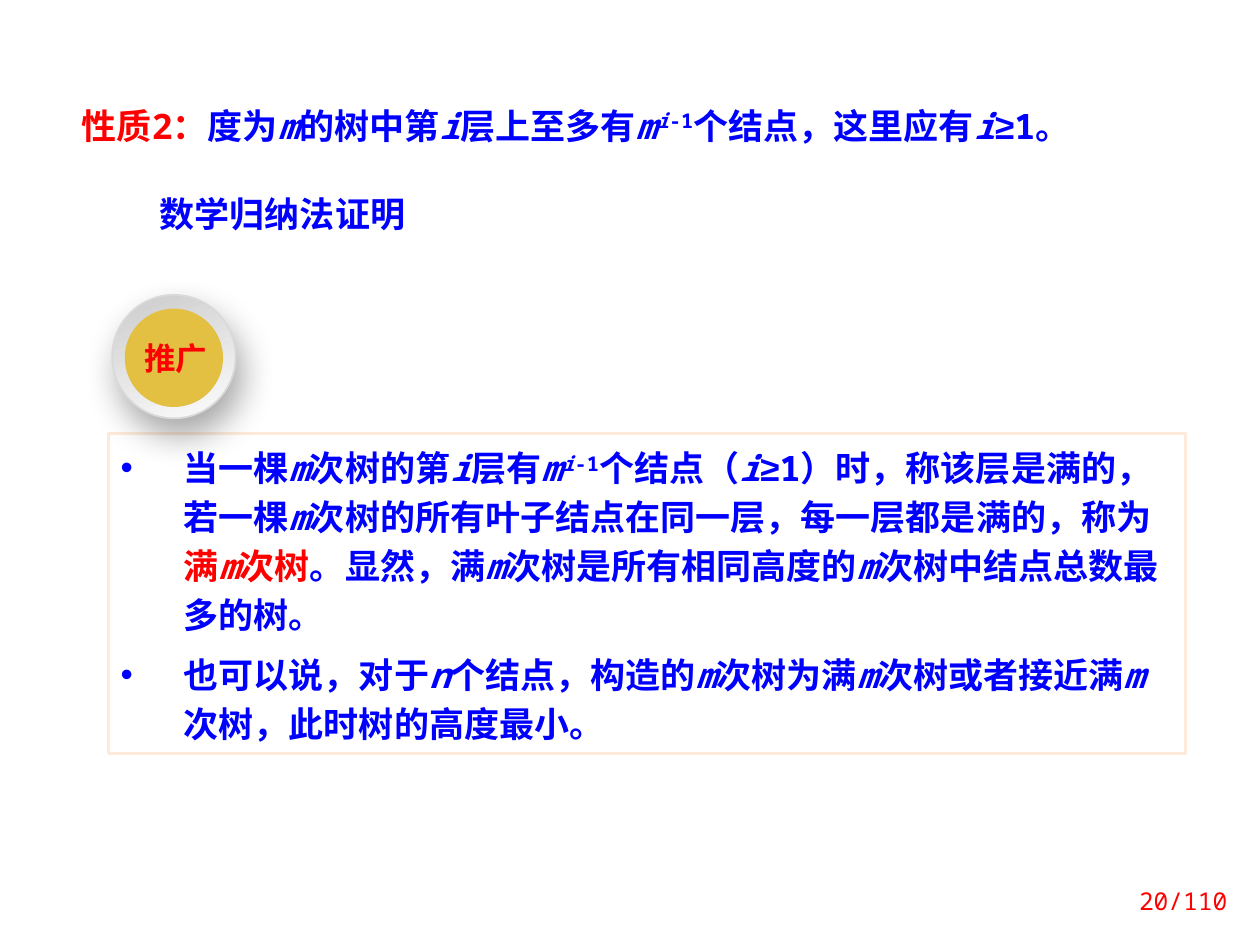
from lxml.etree import SubElement
from pptx import Presentation
from pptx.dml.color import RGBColor
from pptx.enum.shapes import MSO_SHAPE
from pptx.enum.text import MSO_ANCHOR, PP_ALIGN
from pptx.oxml import parse_xml
from pptx.oxml.ns import nsdecls, qn
from pptx.util import Inches, Pt

COLORS = {
    "text": "0000FF", "accent": "FF0000", "white": "FFFFFF",
    "frame": "FDEADA", "ring": "D9D9D9", "ring_dark": "CCCCCC",
    "ring_light": "FCFCFC", "disc": "E3BF42",
}
MONO, CJK, SYMBOL = "Noto Sans Mono", "Noto Sans CJK SC", "Arial"
TOGGLES = {"*": "italic", "^": "super", "#": "accent"}

PROPERTY = "#性质2：#度为*m*的树中第*i*层上至多有*m^i*-1^个结点，这里应有*i*≥1。"
EXTENSIONS = [
    "当一棵*m*次树的第*i*层有*m^i*-1^个结点（*i*≥1）时，称该层是满的，"
    "若一棵*m*次树的所有叶子结点在同一层，每一层都是满的，称为#满*m*次树#。"
    "显然，满*m*次树是所有相同高度的*m*次树中结点总数最多的树。",
    "也可以说，对于*n*个结点，构造的*m*次树为满*m*次树或者接近满*m*次树，此时树的高度最小。",
]


def rgb(name):
    return RGBColor.from_string(COLORS[name])


def split_marked(text):
    """Yield (piece, active styles); * is italic, ^ superscript, # accent colour."""
    active, piece = set(), ""
    for ch in text:
        if ch in TOGGLES or ch == "≥":
            if piece:
                yield piece, set(active)
            piece = ""
            if ch == "≥":
                yield ch, active | {"symbol"}
            else:
                active ^= {TOGGLES[ch]}
        else:
            piece += ch
    if piece:
        yield piece, active


def add_runs(p, text, font=MONO, size=20, bold=True, color="text"):
    for piece, styles in split_marked(text):
        r = p.add_run()
        r.text = piece
        values = {
            "name": SYMBOL if "symbol" in styles else font,
            "size": Pt(size), "bold": bold, "italic": "italic" in styles,
        }
        for name, value in values.items():
            setattr(r.font, name, value)
        r.font.color.rgb = rgb("accent" if "accent" in styles else color)
        rpr = r.font._element
        SubElement(rpr, qn("a:ea")).set("typeface", CJK)
        if "super" in styles:
            rpr.set("baseline", "30000")


def format_paragraph(p, **values):
    for name, value in values.items():
        setattr(p, name, value)


def add_text(shapes, box, text, wrap=True, anchor=MSO_ANCHOR.TOP, para=None, **font):
    tf = shapes.add_textbox(*map(Inches, box)).text_frame
    tf.word_wrap, tf.vertical_anchor = wrap, anchor
    format_paragraph(tf.paragraphs[0], **(para or {}))
    add_runs(tf.paragraphs[0], text, **font)


def add_plain_shape(shapes, kind, box, fill=None, line=None, width=1):
    sp = shapes.add_shape(kind, *map(Inches, box))
    sp.shadow.inherit = False
    if fill:
        sp.fill.solid()
        sp.fill.fore_color.rgb = rgb(fill)
    if line:
        sp.line.color.rgb = rgb(line)
        sp.line.width = Pt(width)
    else:
        sp.line.fill.background()
    return sp


def add_bullet(p, text):
    format_paragraph(p, alignment=PP_ALIGN.LEFT, line_spacing=Pt(28), space_before=Pt(6))
    ppr = p._p.get_or_add_pPr()
    ppr.set("marL", str(Inches(0.5)))
    ppr.set("indent", str(-Inches(0.5)))
    SubElement(ppr, qn("a:buFont")).set("typeface", SYMBOL)
    SubElement(ppr, qn("a:buChar")).set("char", "•")
    add_runs(p, text)


def add_bullet_panel(shapes, box, items):
    sp = add_plain_shape(shapes, MSO_SHAPE.RECTANGLE, box, "white", "frame", 2)
    tf = sp.text_frame
    tf.word_wrap, tf.vertical_anchor = True, MSO_ANCHOR.TOP
    for i, item in enumerate(items):
        add_bullet(tf.add_paragraph() if i else tf.paragraphs[0], item)


def add_drop_shadow(sp, blur, distance, angle, alpha):
    effects = sp._element.spPr.find(qn("a:effectLst"))
    effects.append(parse_xml(
        f'<a:outerShdw {nsdecls("a")} blurRad="{Pt(blur)}" dist="{Pt(distance)}" '
        f'dir="{angle * 60000}" algn="ctr" rotWithShape="0"><a:srgbClr val="000000">'
        f'<a:alpha val="{alpha * 1000}"/></a:srgbClr></a:outerShdw>'))


def add_badge(shapes, text):
    """A shaded ring around a flat disc, with a label on top."""
    group = shapes.add_group_shape().shapes
    ring = add_plain_shape(group, MSO_SHAPE.OVAL, (0.89, 2.34, 0.98, 0.98), line="ring")
    ring.fill.gradient()
    ring.fill.gradient_angle = 290
    for stop, color, position in zip(ring.fill.gradient_stops,
                                     ("ring_dark", "ring_light"), (0, 1)):
        stop.color.rgb = rgb(color)
        stop.position = position
    add_drop_shadow(ring, blur=20, distance=10, angle=70, alpha=34)
    add_plain_shape(group, MSO_SHAPE.OVAL, (0.99, 2.45, 0.78, 0.78), "disc")
    add_text(group, (1.04, 2.7, 0.71, 0.34), text, wrap=False,
             para={"alignment": PP_ALIGN.CENTER, "line_spacing": 0.8,
                   "space_before": Pt(9)},
             font=CJK, size=18, color="accent")


def main():
    prs = Presentation()
    prs.slide_width, prs.slide_height = Inches(10), Inches(7.5)
    s = prs.slides.add_slide(prs.slide_layouts[6])
    add_text(s.shapes, (0.55, 0.78, 8.28, 0.44), PROPERTY,
             para={"space_before": Pt(10)})
    add_text(s.shapes, (1.17, 1.48, 2.27, 0.44), "数学归纳法证明", font=CJK)
    add_bullet_panel(s.shapes, (0.86, 3.44, 8.55, 2.54), EXTENSIONS)
    add_badge(s.shapes, "推广")
    add_text(s.shapes, (8.7, 6.95, 1.14, 0.4), "20/110", anchor=MSO_ANCHOR.MIDDLE,
             para={"alignment": PP_ALIGN.RIGHT}, size=14, bold=False, color="accent")
    prs.save("out.pptx")


if __name__ == "__main__":
    main()
